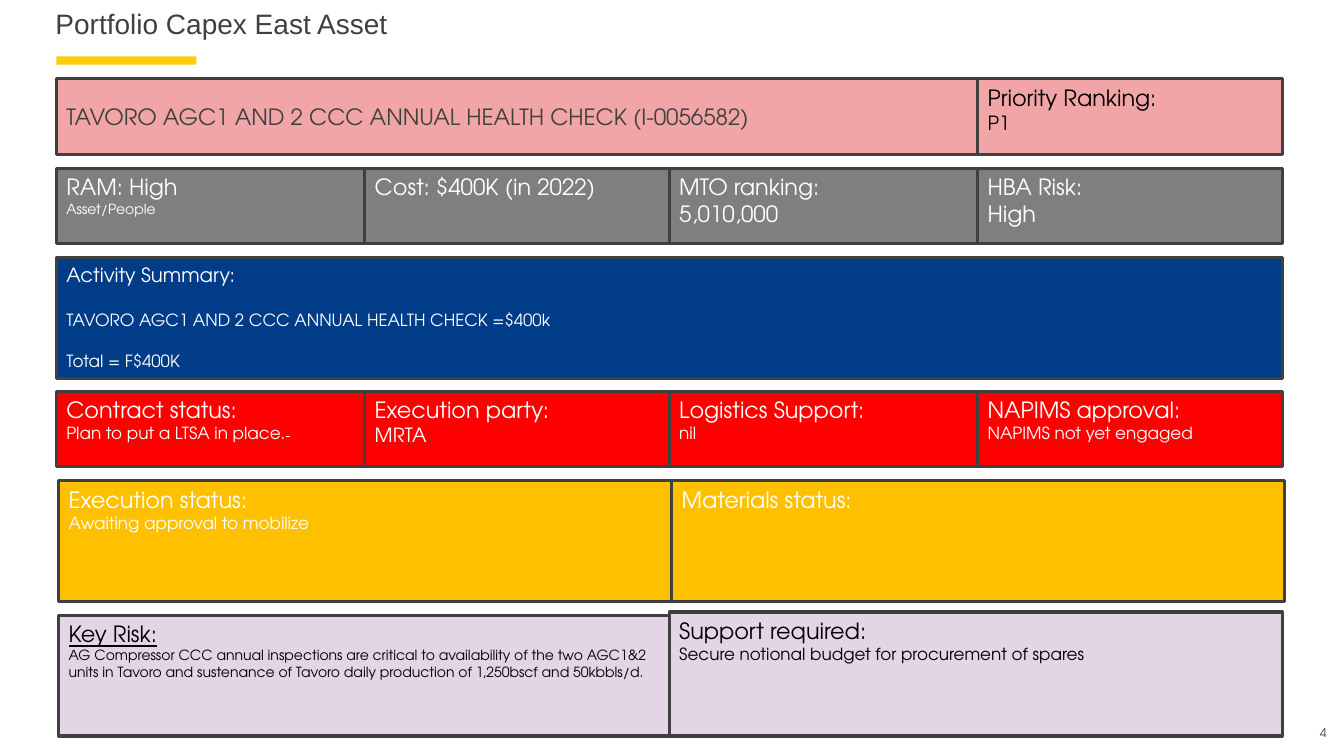
from dataclasses import dataclass

from pptx import Presentation
from pptx.dml.color import RGBColor
from pptx.enum import shapes, text
from pptx.util import Pt


@dataclass(frozen=True)
class Theme:
    body_font: str = "TeX Gyre Adventor"
    title_font: str = "Arial"
    dark: str = "404040"
    black: str = "000000"
    white: str = "FFFFFF"
    accent: str = "FBCE07"
    pink: str = "F1A5A6"
    grey: str = "7F7F7F"
    blue: str = "003C88"
    red: str = "FF0000"
    amber: str = "FFC000"
    lilac: str = "E3D5E5"
    title: float = 20
    heading: float = 16
    label: float = 14
    detail: float = 12
    small: float = 10
    number: float = 8.5
    border: float = 2.25


T = Theme()
COLUMNS = [40.3, 260.6, 478.1, 698.4, 916]
LOW, TALL = 54, 86.4
INDENT = 1.7


def add_text(p, words, size=T.detail, color=T.white, font=T.body_font,
             underline=None, strike=False, before=None):
    r = p.add_run()
    r.text = words
    r.font.size = Pt(size)
    r.font.name = font
    r.font.color.rgb = RGBColor.from_string(color)
    r.font.underline = underline
    if strike:
        r.font._element.set("strike", "sngStrike")
    if before is not None:
        p.space_before = Pt(before)
    return r


def set_frame(tf, align=text.PP_ALIGN.LEFT, anchor=text.MSO_ANCHOR.TOP,
              wrap=True, margins=(7.2, 3.6, 7.2, 3.6)):
    tf.auto_size = text.MSO_AUTO_SIZE.NONE
    tf.word_wrap = wrap
    tf.vertical_anchor = anchor
    tf.margin_left, tf.margin_top, tf.margin_right, tf.margin_bottom = map(Pt, margins)
    tf.paragraphs[0].alignment = align


def add_bar(s, x, y, w, h, fill):
    sp = s.shapes.add_shape(shapes.MSO_SHAPE.RECTANGLE, Pt(x), Pt(y), Pt(w), Pt(h))
    sp.shadow.inherit = False
    sp.fill.solid()
    sp.fill.fore_color.rgb = RGBColor.from_string(fill)
    sp.line.fill.background()
    return sp


def add_panel(s, x, y, w, h, fill, *lines, color=T.white, anchor=text.MSO_ANCHOR.TOP):
    """Draw a bordered box; each line is (words, size) or (words, size, format)."""
    sp = add_bar(s, x, y, w, h, fill)
    sp.line.color.rgb = RGBColor.from_string(T.dark)
    sp.line.width = Pt(T.border)
    tf = sp.text_frame
    set_frame(tf, anchor=anchor)
    for i, (words, size, *style) in enumerate(lines):
        p = tf.add_paragraph() if i else tf.paragraphs[0]
        p.alignment = text.PP_ALIGN.LEFT
        add_text(p, words, size, color, **(style[0] if style else {}))
    return sp


def add_row(s, y, fill, cells):
    """Draw one panel per column and return them."""
    return [add_panel(s, left, y, right - left, LOW, fill, *lines)
            for left, right, lines in zip(COLUMNS, COLUMNS[1:], cells)]


def add_title(s, words):
    title = s.shapes.title
    title.left, title.top, title.width, title.height = map(Pt, (39.6, 4.3, 908, 44.6))
    set_frame(title.text_frame, margins=(0, 0, 0, 0))
    add_text(title.text_frame.paragraphs[0], words, T.title, T.dark, T.title_font)
    add_bar(s, 40.3, 40.3, 100, 5.8, T.accent)


def add_page_number(s, number):
    tf = s.shapes.add_textbox(Pt(919.4), Pt(518.4), Pt(28.1), Pt(18.7)).text_frame
    set_frame(tf, text.PP_ALIGN.RIGHT, wrap=False, margins=(0, 0, 0, 3.6))
    add_text(tf.paragraphs[0], number, T.number, T.dark)


def main():
    prs = Presentation()
    prs.slide_width, prs.slide_height = Pt(960), Pt(540)
    s = prs.slides.add_slide(prs.slide_layouts[5])
    add_title(s, "Portfolio Capex East Asset")
    add_page_number(s, "4")

    left, _, middle, last, right = COLUMNS
    half = right - middle
    add_panel(s, left, 56.2, last - left, LOW, T.pink,
              ("TAVORO AGC1 AND 2 CCC ANNUAL HEALTH CHECK (I-0056582)", T.heading),
              color=T.dark, anchor=text.MSO_ANCHOR.MIDDLE)
    add_panel(s, last, 56.2, right - last, LOW, T.pink,
              ("Priority Ranking:", T.heading), ("P1", T.label), color=T.black)

    add_row(s, 120.2, T.grey, [
        [("RAM: High", T.heading), ("Asset/People", T.small)],
        [("Cost: $400K (in 2022)", T.heading)],
        [("MTO ranking:", T.heading), ("5,010,000", T.heading)],
        [("HBA Risk:", T.heading), ("High", T.heading)],
    ])

    add_panel(s, left, 183.9, right - left, TALL, T.blue,
              ("Activity Summary:", T.label),
              ("TAVORO AGC1 AND 2 CCC ANNUAL HEALTH CHECK =$400k", T.detail, {"before": 17}),
              ("Total = F$400K", T.detail, {"before": 14.6}))

    contract, *_ = add_row(s, 279.4, T.red, [
        [("Contract status:", T.heading), ("Plan to put a LTSA in place.", T.detail)],
        [("Execution party:", T.heading), ("MRTA", T.label)],
        [("Logistics Support:", T.heading), ("nil", T.detail)],
        [("NAPIMS approval:", T.heading), ("NAPIMS not yet engaged", T.detail)],
    ])
    add_text(contract.text_frame.paragraphs[-1], " ", strike=True)

    add_panel(s, left + INDENT, 343.4, half, TALL, T.amber,
              ("Execution status:", T.heading),
              ("Awaiting approval to mobilize", T.detail))
    add_panel(s, middle + INDENT, 343.4, half, TALL, T.amber,
              ("Materials status:", T.heading))

    add_panel(s, left + INDENT, 439.4, half, TALL, T.lilac,
              ("Key Risk:", T.heading, {"underline": True}),
              ("AG Compressor CCC annual inspections are critical to availability of the two "
               "AGC1&2 units in Tavoro and sustenance of Tavoro daily production of "
               "1,250bscf and 50kbbls/d.", T.small), color=T.black)
    add_panel(s, middle, 437.2, half, 88.6, T.lilac,
              ("Support required:", T.heading),
              ("Secure notional budget for procurement of spares", T.detail), color=T.black)
    prs.save("out.pptx")


if __name__ == "__main__":
    main()
